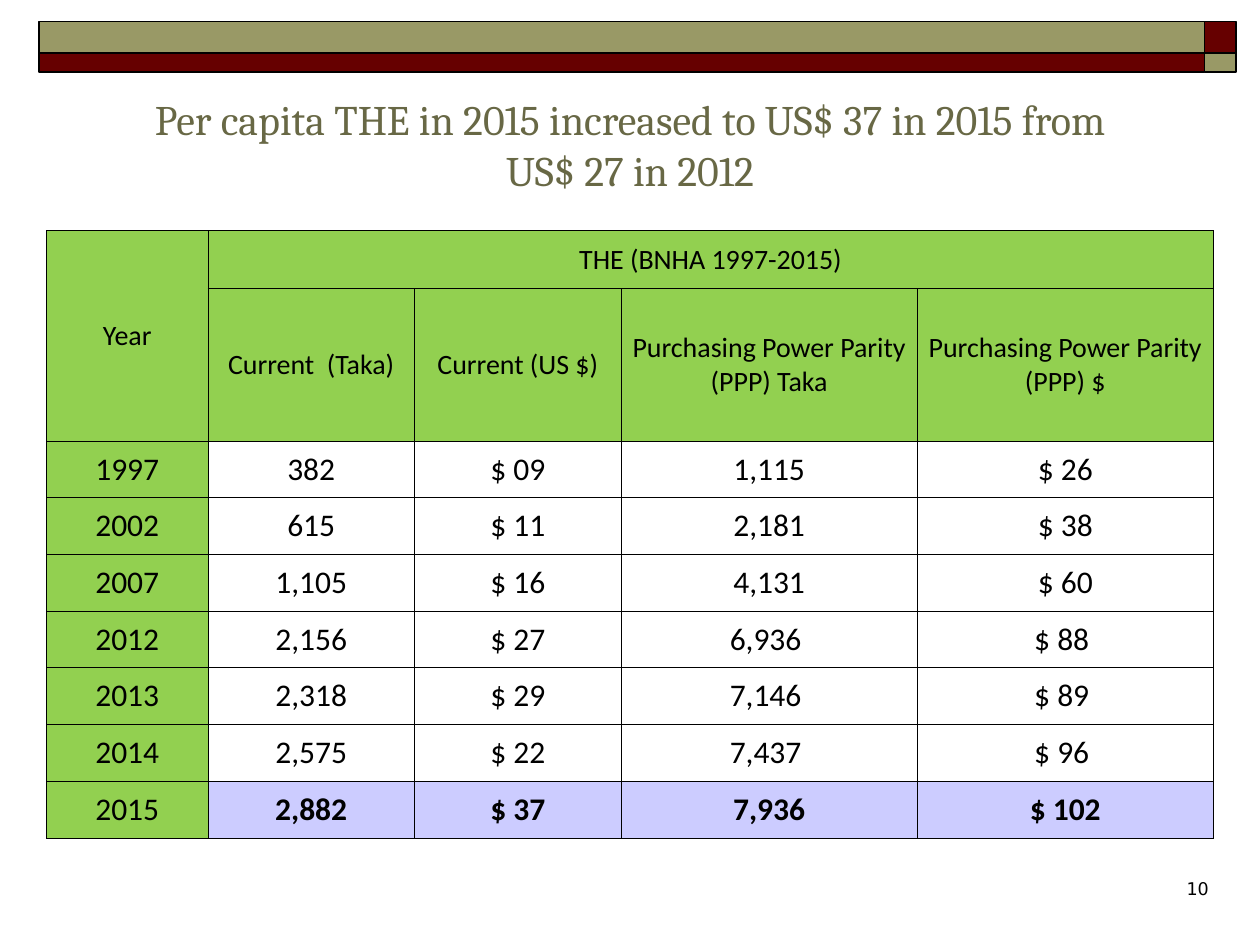
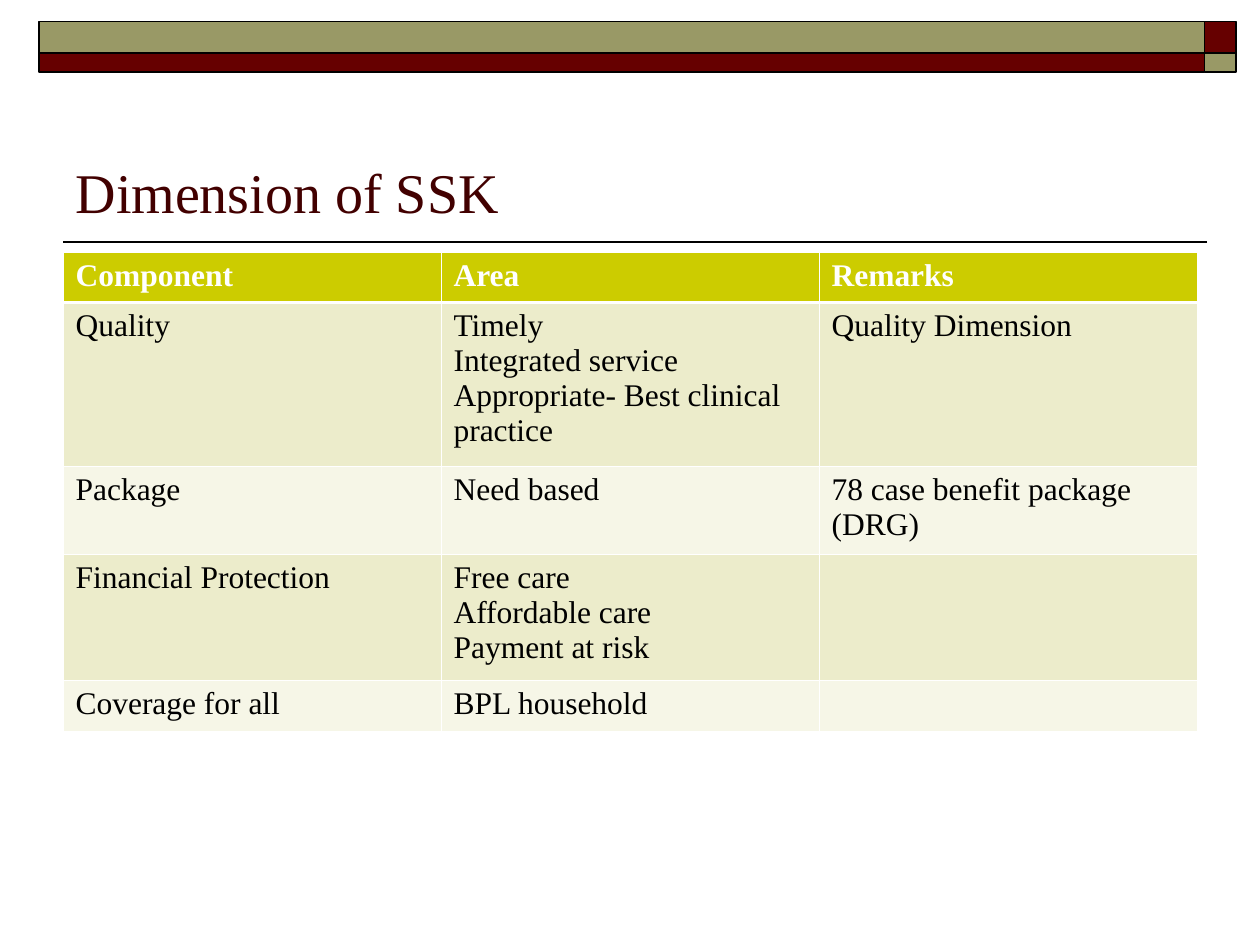
from lxml import etree
from pptx import Presentation
from pptx.dml.color import RGBColor
from pptx.enum.shapes import MSO_CONNECTOR, MSO_SHAPE
from pptx.enum.text import MSO_ANCHOR, MSO_AUTO_SIZE, PP_ALIGN
from pptx.oxml.ns import qn
from pptx.util import Inches, Pt

RECT = MSO_SHAPE.RECTANGLE
LINE = MSO_CONNECTOR.STRAIGHT
TOP, MIDDLE, BOTTOM = MSO_ANCHOR.TOP, MSO_ANCHOR.MIDDLE, MSO_ANCHOR.BOTTOM
LEFT, CENTER = PP_ALIGN.LEFT, PP_ALIGN.CENTER
FIXED = MSO_AUTO_SIZE.NONE

BLACK = RGBColor(0x00, 0x00, 0x00)
WHITE = RGBColor(0xFF, 0xFF, 0xFF)
MAROON = RGBColor(0x66, 0x00, 0x00)
KHAKI = RGBColor(0x99, 0x99, 0x66)
OLIVE = RGBColor(0x68, 0x68, 0x45)
WINE = RGBColor(0x42, 0x00, 0x00)
GREEN = RGBColor(0x92, 0xD0, 0x50)
LILAC = RGBColor(0xCC, 0xCC, 0xFF)
MUSTARD = RGBColor(0xCC, 0xCC, 0x00)
CREAM = RGBColor(0xEC, 0xEC, 0xCB)
PALE = RGBColor(0xF6, 0xF6, 0xE7)

SERIF, SANS = "Times New Roman", "Calibri"
HAIR, THICK = 0.45, 1.47

SPEND = [
    ["Year", "THE (BNHA 1997-2015)", "", "", ""],
    ["", "Current  (Taka)", "Current (US $)",
     "Purchasing Power Parity (PPP) Taka", "Purchasing Power Parity (PPP) $"],
    ["1997", "382", "$ 09", "1,115", "$ 26"],
    ["2002", "615", "$ 11", "2,181", "$ 38"],
    ["2007", "1,105", "$ 16", "4,131", "$ 60"],
    ["2012", "2,156", "$ 27", "6,936 ", "$ 88 "],
    ["2013", "2,318", "$ 29", "7,146 ", "$ 89 "],
    ["2014", "2,575", "$ 22", "7,437 ", "$ 96 "],
    ["2015", "2,882", "$ 37", "7,936", "$ 102"],
]
SCHEME = [
    ["Component", "Area", "Remarks"],
    ["Quality", "Timely\nIntegrated service\nAppropriate- Best clinical practice",
     "Quality Dimension"],
    ["Package", "Need based", "78 case benefit package (DRG)"],
    ["Financial Protection", "Free care\nAffordable care\nPayment at risk", ""],
    ["Coverage for all", "BPL household", ""],
]


def inches(box):
    return [Inches(v) for v in box]


def write(frame, text, font, size, color, align=LEFT, bold=False):
    """Fill a text frame, one paragraph for each line."""
    for i, line in enumerate(text.split("\n")):
        para = frame.add_paragraph() if i else frame.paragraphs[0]
        para.alignment = align
        if line:
            run = para.add_run()
            run.text = line
            run.font.name, run.font.size = font, Pt(size)
            run.font.bold, run.font.color.rgb = bold, color


def add_bands(slide, box):
    """Two-tone band across the top, with swapped colours at its right end."""
    left, top, width, height = box
    end, upper = 0.25, 0.25
    split, lower = width - end, height - upper
    for x, y, w, h, color in [(split, 0, end, upper, MAROON),
                              (0, 0, split, upper, KHAKI),
                              (0, upper, split, lower, MAROON),
                              (split, upper, end, lower, KHAKI)]:
        band = slide.shapes.add_shape(RECT, *inches((left + x, top + y, w, h)))
        band.shadow.inherit = False
        band.fill.solid()
        band.fill.fore_color.rgb = color
        band.line.color.rgb = BLACK
        band.line.width = Pt(1)


def add_rule(slide, left, right, y):
    rule = slide.shapes.add_connector(LINE, *inches((right, y, left, y)))
    rule.line.color.rgb = BLACK
    rule.line.width = Pt(1)
    etree.SubElement(rule._element.spPr, qn("a:effectLst"))


def add_title(slide, box, text, font, size, color, align, anchor):
    title = slide.shapes.title
    title.left, title.top, title.width, title.height = inches(box)
    frame = title.text_frame
    frame.auto_size, frame.word_wrap = FIXED, True
    frame.vertical_anchor = anchor
    write(frame, text, font, size, color, align)


def add_edge(cell, side, color, width):
    props = cell._tc.get_or_add_tcPr()
    edge = etree.SubElement(props, qn("a:ln" + side), w=str(Pt(width)))
    fill = etree.SubElement(edge, qn("a:solidFill"))
    etree.SubElement(fill, qn("a:srgbClr"), val=str(color))


def add_grid(slide, box, cols, rows, data, style):
    """Table whose cell looks come from style(row, col)."""
    grid = slide.shapes.add_table(len(rows), len(cols), *inches(box)).table
    for col, width in zip(grid.columns, cols):
        col.width = Inches(width)
    for row, height in zip(grid.rows, rows):
        row.height = Inches(height)
    for r, line in enumerate(data):
        for c, text in enumerate(line):
            cell = grid.cell(r, c)
            look = style(r, c)
            for side in "LRTB":
                width = look.get("edges", {}).get(side, HAIR)
                add_edge(cell, side, look["edge"], width)
            cell.fill.solid()
            cell.fill.fore_color.rgb = look["fill"]
            cell.vertical_anchor = look["anchor"]
            cell.margin_left = cell.margin_right = Inches(look["pad"])
            write(cell.text_frame, text, *look["text"])
    return grid


def spend_style(r, c):
    last = r == len(SPEND) - 1
    fill = GREEN if r < 2 or c == 0 else LILAC if last else WHITE
    size = 16 if r < 2 else 18
    return {"fill": fill, "edge": BLACK, "anchor": MIDDLE, "pad": 0.08,
            "text": (SANS, size, BLACK, CENTER, last and c > 0)}


def scheme_style(r, c):
    head = r == 0
    fill = MUSTARD if head else CREAM if r % 2 else PALE
    edges = {"B": THICK} if head else {"T": THICK} if r == 1 else {}
    return {"fill": fill, "edge": WHITE, "edges": edges, "anchor": TOP, "pad": 0.1,
            "text": (SERIF, 18, WHITE if head else BLACK, LEFT, head)}


def add_page(slide, box, number):
    page = slide.shapes.add_textbox(*inches(box)).text_frame
    page.word_wrap = True
    write(page, number, "DejaVu Sans", 10, BLACK, CENTER)


def new_slide(deck):
    """Slide with the shared band and rule."""
    slide = deck.slides.add_slide(deck.slide_layouts[5])
    add_rule(slide, 0.5, 9.58, 1.92)
    add_bands(slide, (0.31, 0.17, 9.5, 0.4))
    return slide


def spend_slide(deck):
    slide = new_slide(deck)
    add_title(slide, (1, 0.6, 8, 1.09),
              "Per capita THE in 2015 increased to US$ 37 in 2015 from US$ 27 in 2012",
              "Cambria", 24, OLIVE, CENTER, MIDDLE)
    grid = add_grid(slide, (0.37, 1.83, 9.27, 4.83), [1.28, 1.64, 1.64, 2.35, 2.35],
                    [0.46, 1.21] + [0.45] * 7, SPEND, spend_style)
    grid.cell(0, 0).merge(grid.cell(1, 0))
    grid.cell(0, 1).merge(grid.cell(0, 4))
    add_page(slide, (7.92, 6.92, 3.17, 0.5), "10")


def scheme_slide(deck):
    slide = new_slide(deck)
    add_title(slide, (0.5, 0.58, 9, 1.25), "Dimension of SSK",
              SERIF, 32, WINE, LEFT, BOTTOM)
    add_grid(slide, (0.5, 2, 9, 3.81), [3] * 3, [0.4, 1.3, 0.7, 1, 0.4],
             SCHEME, scheme_style)


def main():
    deck = Presentation()
    deck.slide_width, deck.slide_height = Inches(10), Inches(7.5)
    spend_slide(deck)
    scheme_slide(deck)
    deck.save("out.pptx")


if __name__ == "__main__":
    main()
